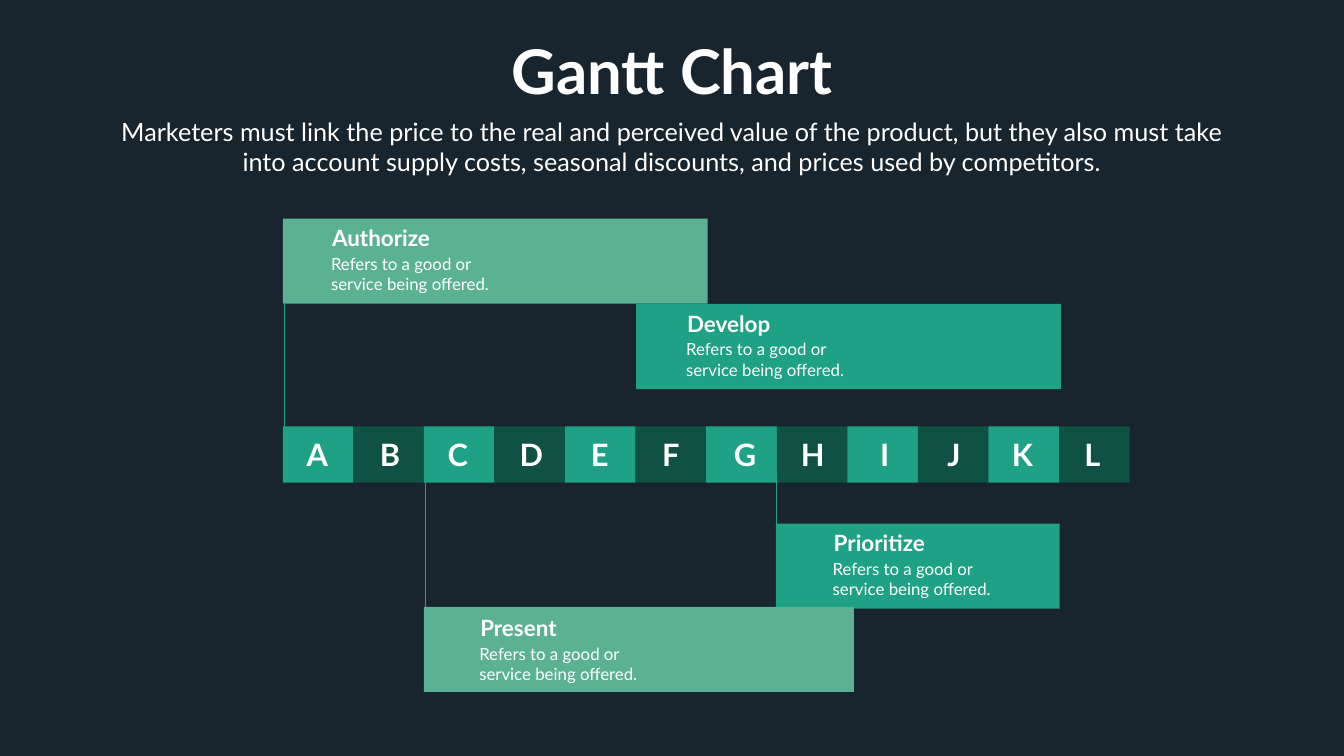
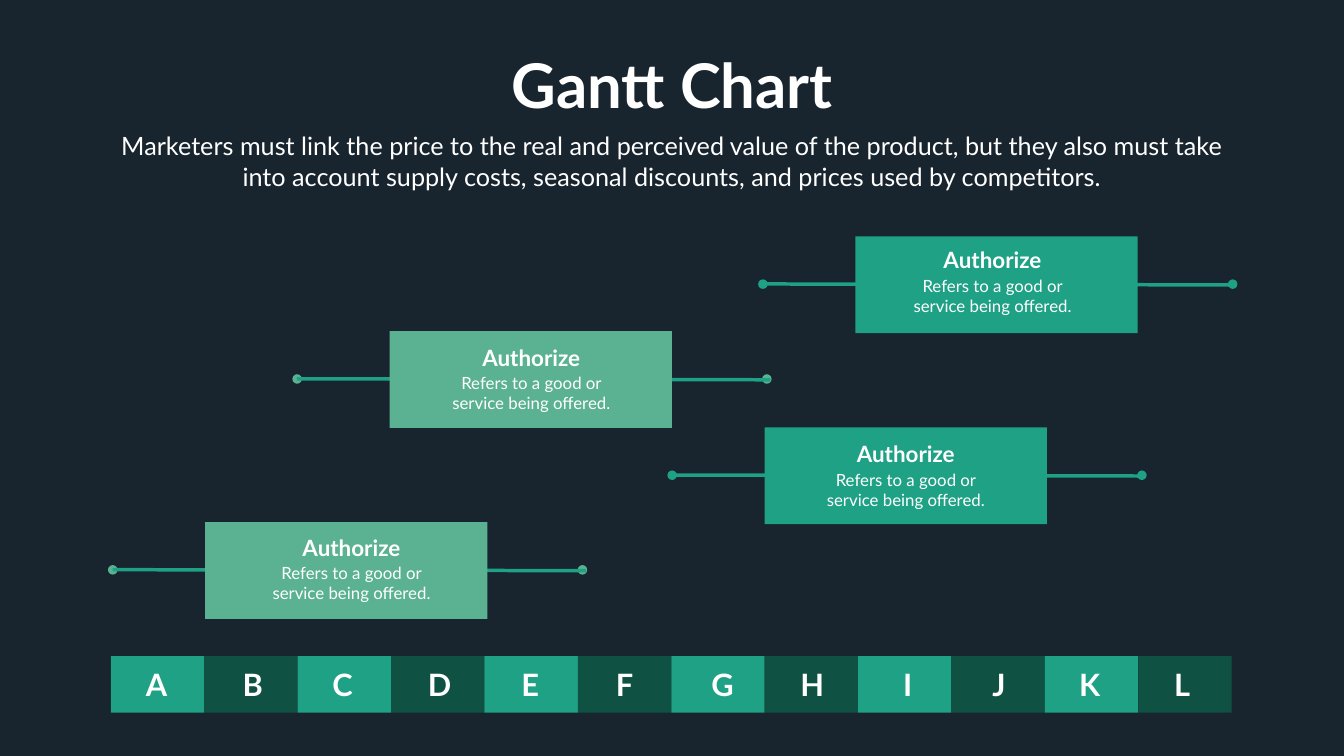
from lxml import etree
from pptx import Presentation
from pptx import util as u
from pptx.dml.color import RGBColor
from pptx.enum import shapes, text
from pptx.oxml.ns import qn

FONT = "Lato"
NIGHT, WHITE = "18242E", "FFFFFF"
TEAL, MINT, FOREST = "1EA185", "5BB292", "0F5142"
LEFT, CENTER = text.PP_ALIGN.LEFT, text.PP_ALIGN.CENTER
RECTANGLE, OVAL = shapes.MSO_SHAPE.RECTANGLE, shapes.MSO_SHAPE.OVAL

SUMMARY = ("Marketers must link the price to the real and perceived value of the product, "
           "but they also must take into account supply costs, seasonal discounts, "
           "and prices used by competitors.")
DETAIL = "Refers to a good or service being offered."
DETAIL_WIDTH = 9.96

LETTER_SHARE_AND_SHIFT = {
    "A": (0.45, -0.01), "B": (0.45, 0.02), "C": (0.45, -0.02), "D": (0.48, 0.02),
    "E": (0.4, -0.01), "F": (0.39, 0), "G": (0.46, 0.05), "H": (0.49, 0.01),
    "I": (0.27, 0.03), "J": (0.34, 0.01), "K": (0.44, -0.02), "L": (0.37, -0.03),
}


def color(value):
    return RGBColor.from_string(value)


class GanttDeck:
    def __init__(self):
        self.deck = Presentation()
        self.deck.slide_width, self.deck.slide_height = u.Cm(67.72), u.Cm(38.1)
        fill = self.deck.slide_master.background.fill
        fill.solid()
        fill.fore_color.rgb = color(NIGHT)
        self.page = None

    def add_page(self, title_top):
        self.page = self.deck.slides.add_slide(self.deck.slide_layouts[5])
        title = self.page.shapes.title
        title.left, title.top = u.Cm(25.32), u.Cm(title_top)
        title.width, title.height = u.Cm(17.09), u.Cm(4.01)
        self.set_text(title, "Gantt Chart", 88, True, CENTER, False)
        self.label(SUMMARY, 5.64, title_top + 4.22, 56.41, 3.33, 36, wrap=True)

    def set_text(self, box, words, size, bold, align, wrap):
        frame = box.text_frame
        frame.text = words
        frame.word_wrap = wrap
        frame.auto_size = text.MSO_AUTO_SIZE.SHAPE_TO_FIT_TEXT
        frame.vertical_anchor = text.MSO_ANCHOR.TOP
        para = frame.paragraphs[0]
        para.alignment = align
        font = para.runs[0].font
        font.name, font.size, font.bold = FONT, u.Pt(size), bold
        font.color.rgb = color(WHITE)

    def label(self, words, left, top, width, height, size, bold=False, align=CENTER, wrap=False):
        box = self.page.shapes.add_textbox(u.Cm(left), u.Cm(top), u.Cm(width), u.Cm(height))
        self.set_text(box, words, size, bold, align, wrap)

    def block(self, left, top, width, height, fill, kind=RECTANGLE):
        shape = self.page.shapes.add_shape(kind, u.Cm(left), u.Cm(top), u.Cm(width), u.Cm(height))
        shape.shadow.inherit = False
        shape.fill.solid()
        shape.fill.fore_color.rgb = color(fill)
        shape.line.fill.background()

    def line(self, x1, y1, x2, y2, weight):
        line = self.page.shapes.add_connector(
            shapes.MSO_CONNECTOR.STRAIGHT, u.Cm(x1), u.Cm(y1), u.Cm(x2), u.Cm(y2))
        line.line.color.rgb = color(TEAL)
        line.line.width = u.Pt(weight)
        etree.SubElement(line._element.spPr, qn("a:effectLst"))

    def caption(self, heading, width, left, top, align):
        inset = (DETAIL_WIDTH - width) / 2 if align == CENTER else 0.05
        self.label(DETAIL, left, top, DETAIL_WIDTH, 2.31, 24, align=align, wrap=True)
        self.label(heading, left + inset, top - 1.47, width, 1.63, 32, True, align)

    def strip(self, left, top, width):
        cell = width / len(LETTER_SHARE_AND_SHIFT)
        for index in range(len(LETTER_SHARE_AND_SHIFT)):
            self.block(left + index * cell, top, cell, 2.84, FOREST if index % 2 else TEAL)
        for index, (letter, (share, shift)) in enumerate(LETTER_SHARE_AND_SHIFT.items()):
            center = left + (index + 0.5 + shift) * cell
            self.label(letter, center - share * cell / 2, top + 0.34, share * cell, 2.13, 44, True)

    def span_line(self, card_left, card_top, fill):
        for offset in (-4.9, 18.77):
            self.block(card_left + offset, card_top + 2.17, 0.48, 0.48, fill, OVAL)
        start, level = card_left - 4.67, card_top + 2.4
        self.line(start, level, start + 23.86, level + 0.05, 5)


def overlapping_bars(gantt):
    gantt.add_page(1.52)
    bars = [
        ("Authorize", 5.51, 14.25, 11.02, 21.41, MINT, 2.18, 1.63),
        ("Develop", 4.78, 32.05, 15.32, 21.41, TEAL, 2.27, 1.65),
        ("Prioritize", 5.16, 39.09, 26.39, 14.3, TEAL, 2.62, 1.63),
        ("Present", 4.42, 21.36, 30.58, 21.67, MINT, 2.54, 1.73),
    ]
    for _, _, left, top, width, fill, _, _ in bars:
        gantt.block(left, top, width, 4.29, fill)
    for heading, heading_width, left, top, _, _, dx, dy in bars:
        gantt.caption(heading, heading_width, left + dx, top + dy, LEFT)
    gantt.strip(14.25, 21.49, 42.67)
    for x, start, end in ((14.3, 15.32, 22.1), (21.41, 23.8, 30.58), (39.09, 23.8, 26.39)):
        gantt.line(x, start, x, end, 0.5)


def spanning_cards(gantt):
    gantt.add_page(2.24)
    cards = [
        (43.1, 11.91, TEAL, 1.93, 1.85),
        (19.63, 16.69, MINT, 2.16, 1.98),
        (38.53, 21.54, TEAL, 2.13, 2.0),
        (10.34, 26.31, MINT, 2.39, 1.93),
    ]
    for left, top, fill, _, _ in cards:
        gantt.span_line(left, top, fill)
    for left, top, fill, _, _ in cards:
        gantt.block(left, top, 14.22, 4.88, fill)
    gantt.strip(5.59, 33.07, 56.47)
    for left, top, _, dx, dy in cards:
        gantt.caption("Authorize", 5.51, left + dx, top + dy, CENTER)


def main():
    gantt = GanttDeck()
    overlapping_bars(gantt)
    spanning_cards(gantt)
    gantt.deck.save("out.pptx")


if __name__ == "__main__":
    main()
